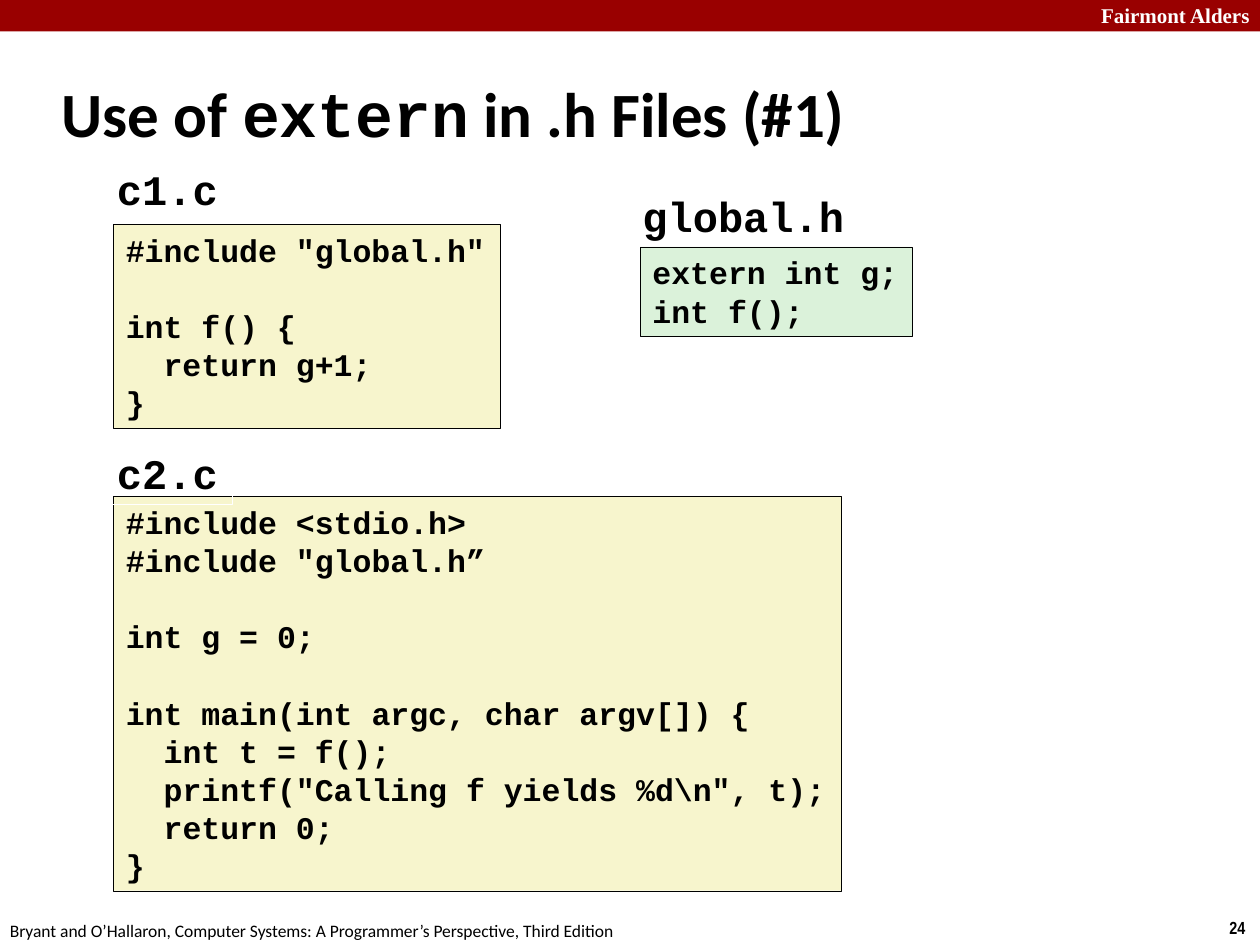
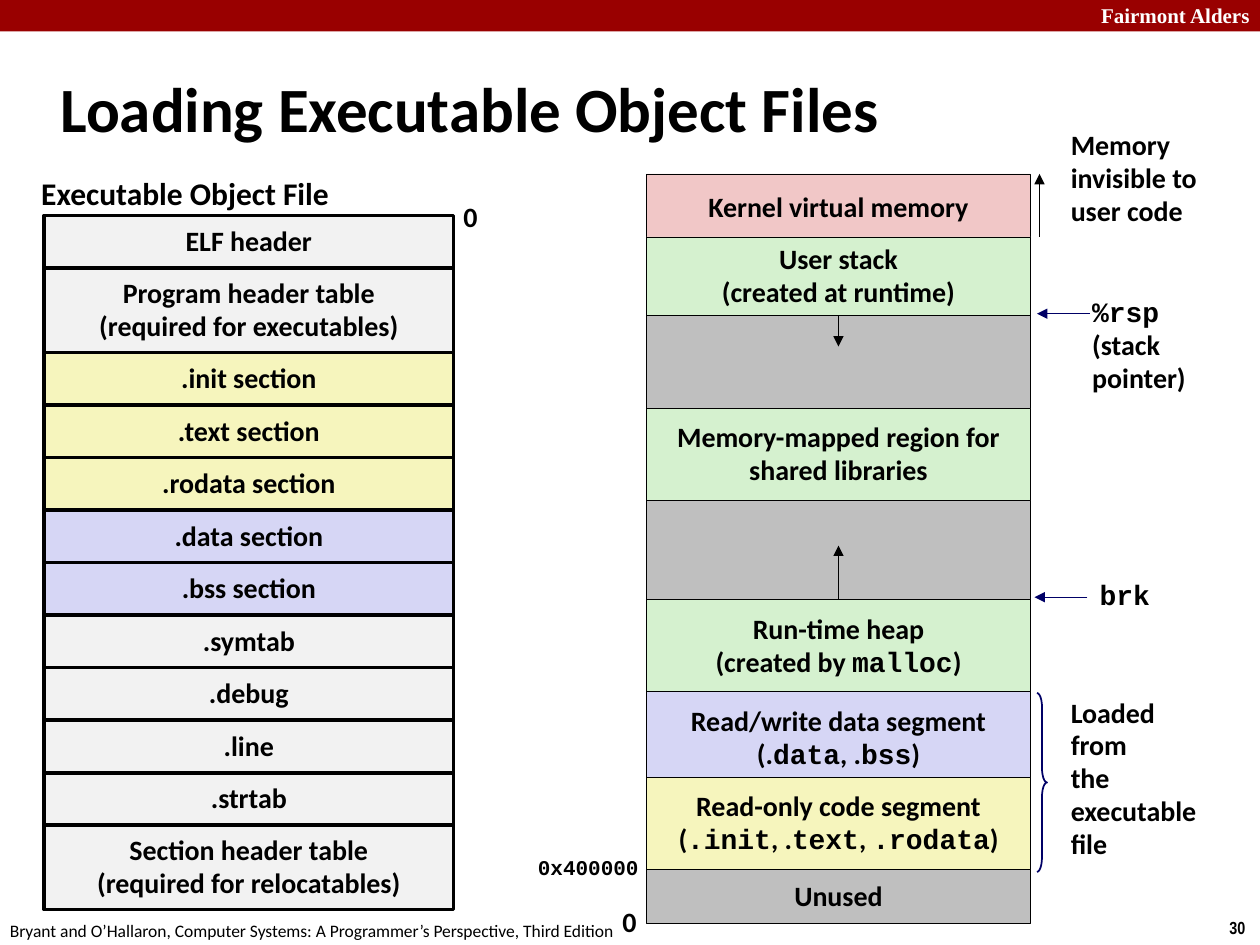
from dataclasses import dataclass

from lxml import etree
from pptx import Presentation
from pptx.dml.color import RGBColor
from pptx.enum.shapes import MSO_CONNECTOR, MSO_SHAPE
from pptx.enum.text import MSO_ANCHOR, PP_ALIGN
from pptx.oxml.ns import qn
from pptx.util import Inches, Pt

RECTANGLE = MSO_SHAPE.RECTANGLE
RIGHT_BRACE = MSO_SHAPE.RIGHT_BRACE
STRAIGHT = MSO_CONNECTOR.STRAIGHT
TOP, MIDDLE = MSO_ANCHOR.TOP, MSO_ANCHOR.MIDDLE
LEFT, CENTER = PP_ALIGN.LEFT, PP_ALIGN.CENTER
SIDE_TOP, SIDE_LEFT, SIDE_BOTTOM = 0, 1, 2


@dataclass(frozen=True)
class Theme:
    # Colours
    black: str = "000000"
    white: str = "FFFFFF"
    band: str = "990000"
    navy: str = "000066"
    source: str = "F7F5CD"
    header: str = "DBF2DA"
    plain: str = "F2F2F2"
    code: str = "F6F5BD"
    data: str = "D6D6F5"
    kernel: str = "F1C7C7"
    runtime: str = "D5F1CF"
    unused: str = "BFBFBF"
    # Fonts
    body: str = "Calibri"
    mono: str = "Courier New"
    brand: str = "Times New Roman"
    number: str = "Arial Narrow"
    # Type sizes and line widths, in points
    title: float = 36
    file_name: float = 24
    heading: float = 18
    label: float = 16
    small: float = 12
    footer: float = 10
    code_pitch: float = 21.8
    thin: float = 0.25
    medium: float = 1
    thick: float = 2


THEME = Theme()
CODE_INDENT = 0.3
BRAND = "Fairmont Alders"
FOOTER = ("Bryant and O’Hallaron, Computer Systems: "
          "A Programmer’s Perspective, Third Edition")

C1_SOURCE = '''#include "global.h"

int f() {
  return g+1;
}'''

GLOBAL_HEADER = '''extern int g;
int f();'''

C2_SOURCE = r'''#include <stdio.h>
#include "global.h”

int g = 0;

int main(int argc, char argv[]) {
  int t = f();
  printf("Calling f yields %d\n", t);
  return 0;
}'''

# Sections of the object file, from the top: text and fill
FILE_SECTIONS = [
    ("ELF header", THEME.plain),
    ("Program header table\n(required for executables)", THEME.plain),
    (".init section", THEME.code),
    (".text section", THEME.code),
    (".rodata section", THEME.code),
    (".data section", THEME.data),
    (".bss section", THEME.data),
    (".symtab", THEME.plain),
    (".debug", THEME.plain),
    (".line", THEME.plain),
    (".strtab", THEME.plain),
    ("Section header table\n(required for relocatables)", THEME.plain),
]

# Memory regions, later ones overlap earlier ones: name, top, height, fill, text
MEMORY_REGIONS = [
    ("kernel", 1.38, 0.53, THEME.kernel, "Kernel virtual memory"),
    ("stack gap", 2.25, 0.99, THEME.unused, ""),
    ("stack", 1.88, 0.62, THEME.runtime, "User stack\n(created at runtime)"),
    ("libraries", 3.24, 0.73, THEME.runtime,
     "Memory-mapped region for\nshared libraries"),
    ("heap gap", 3.97, 0.79, THEME.unused, ""),
    ("heap", 4.76, 0.73, THEME.runtime,
     "Run-time heap\n(created by `malloc`)"),
    ("data", 5.49, 0.73, THEME.data,
     "Read/write data segment\n(.`data`, .`bss`)"),
    ("code", 6.17, 0.73, THEME.code,
     "Read-only code segment\n(`.init`, .`text`, `.rodata`)"),
    ("unused", 6.9, 0.43, THEME.unused, "Unused"),
]


def rgb(color):
    return RGBColor.from_string(color)


def write_text(frame, text, *, size=THEME.label, font=THEME.body,
               color=THEME.black, bold=True, align=LEFT, anchor=TOP,
               spacing=None, wrap=False):
    """Write one paragraph a line; words between backticks are monospaced."""
    frame.word_wrap = wrap
    frame.vertical_anchor = anchor
    for index, line in enumerate(text.split("\n")):
        para = frame.paragraphs[0] if index == 0 else frame.add_paragraph()
        para.alignment = align
        if spacing:
            # Lines that open with code sit slightly tighter
            para.line_spacing = 0.94 if line.startswith("`") else spacing
        for piece_index, piece in enumerate(line.split("`")):
            if not piece:
                continue
            span = para.add_run()
            span.text = piece
            span.font.name = THEME.mono if piece_index % 2 else font
            span.font.size = Pt(size)
            span.font.bold = bold
            span.font.color.rgb = rgb(color)


def add_box(page, at, *, fill=None, line=None, width=THEME.thin,
            kind=RECTANGLE, text="", **text_format):
    box = page.shapes.add_shape(kind, *map(Inches, at))
    box.shadow.inherit = False
    if fill:
        box.fill.solid()
        box.fill.fore_color.rgb = rgb(fill)
    else:
        box.fill.background()
    if line:
        box.line.color.rgb = rgb(line)
        box.line.width = Pt(width)
    else:
        box.line.fill.background()
    if text:
        write_text(box.text_frame, text, **text_format)
    return box


def add_label(page, at, text, **text_format):
    box = page.shapes.add_textbox(*map(Inches, at))
    write_text(box.text_frame, text, **text_format)
    return box


def add_arrow(page, start, end, color=THEME.black, join=None):
    """Draw an arrow; join is the (box, side) where it starts."""
    arrow = page.shapes.add_connector(STRAIGHT, *map(Inches, start + end))
    if join:
        arrow.begin_connect(*join)
    arrow.line.color.rgb = rgb(color)
    arrow.line.width = Pt(THEME.thin)
    outline = arrow.line._get_or_add_ln()
    etree.SubElement(outline, qn("a:tailEnd"), type="triangle")
    etree.SubElement(arrow._element.spPr, qn("a:effectLst"))


def add_code(page, at, source, fill):
    """Blank source lines become paragraph spacing, leading blanks an indent."""
    lines = source.split("\n")
    shown = [line for line in lines if line]
    box = add_box(page, at, fill=fill, line=THEME.black,
                  text="\n".join(line.strip() for line in shown),
                  size=THEME.heading, font=THEME.mono)
    paras = iter(box.text_frame.paragraphs)
    after_blank = False
    for line in lines:
        if line:
            para = next(paras)
            para.line_spacing = Pt(THEME.code_pitch)
            if after_blank:
                para.space_before = Pt(THEME.code_pitch)
            if line.startswith(" "):
                para._p.get_or_add_pPr().set("marL", str(Inches(CODE_INDENT)))
        after_blank = not line


def add_file_name(page, at, name):
    add_box(page, at, line=THEME.white, text=name,
            size=THEME.file_name, font=THEME.mono)


def add_page(deck, title, title_at, number):
    page = deck.slides.add_slide(deck.slide_layouts[5])
    # Band, page number and footer
    add_box(page, (0, 0, 10, 0.25), fill=THEME.band)
    add_label(page, (8.64, -0.03, 1.43, 0.3), BRAND, size=THEME.small,
              font=THEME.brand, color=THEME.white, wrap=True)
    add_label(page, (9.66, 7.23, 0.34, 0.27), number, size=THEME.footer,
              font=THEME.number)
    add_label(page, (-0.02, 7.25, 5.08, 0.27), FOOTER, size=THEME.footer,
              bold=False)
    # Title
    heading = page.shapes.title
    heading.left, heading.top, heading.width, heading.height = map(
        Inches, title_at)
    write_text(heading.text_frame, title, size=THEME.title, anchor=MIDDLE,
               wrap=True)
    return page


def add_object_file(page):
    left, top, width, bottom, double_row = 0.35, 1.71, 3.25, 7.22, 0.67
    doubles = sum("\n" in text for text, _ in FILE_SECTIONS)
    single_row = ((bottom - top - doubles * double_row)
                  / (len(FILE_SECTIONS) - doubles))
    for text, fill in FILE_SECTIONS:
        height = double_row if "\n" in text else single_row
        add_box(page, (left, top, width, height), fill=fill, line=THEME.black,
                width=THEME.thick, text=text, align=CENTER, anchor=MIDDLE,
                spacing=0.98)
        top += height
    add_label(page, (3.58, 1.55, 0.31, 0.37), "0", spacing=0.98)
    add_label(page, (0.22, 1.35, 2.5, 0.4), "Executable Object File",
              size=THEME.heading, align=CENTER, spacing=0.98)


def add_memory(page):
    left, width = 5.13, 3.05
    center = left + width / 2
    regions = {}
    for name, top, height, fill, text in MEMORY_REGIONS:
        regions[name] = add_box(
            page, (left, top, width, height), fill=fill, line=THEME.black,
            text=text, align=CENTER, anchor=MIDDLE, spacing=0.98)

    # Directions of growth
    add_arrow(page, (center, 2.5), (center, 2.75),
              join=(regions["stack"], SIDE_BOTTOM))
    add_arrow(page, (center, 4.76), (center, 4.33),
              join=(regions["heap"], SIDE_TOP))
    add_arrow(page, (8.25, 1.88), (8.25, 1.38))

    # Addresses
    add_label(page, (4.84, 7.14, 0.31, 0.37), "0", spacing=0.98)
    add_label(page, (4.17, 6.75, 1.01, 0.3), "`0x400000`", size=THEME.small,
              spacing=0.98)

    # Pointers
    add_label(page, (8.57, 2.31, 0.95, 0.88), "`%rsp`\n(stack\npointer)",
              spacing=0.98)
    add_arrow(page, (8.65, 2.49), (8.23, 2.49), THEME.navy)
    brk = add_label(page, (8.63, 4.56, 0.6, 0.36), "`brk`", spacing=0.98)
    add_arrow(page, (8.63, 4.74), (8.21, 4.74), THEME.navy,
              join=(brk, SIDE_LEFT))

    # Notes beside the regions
    add_label(page, (8.4, 0.98, 1.44, 0.9), "Memory\ninvisible to user code",
              spacing=0.98, wrap=True)
    brace = add_box(page, (8.23, 5.5, 0.08, 1.42), kind=RIGHT_BRACE,
                    line=THEME.navy, width=THEME.medium)
    brace.adjustments[0] = 1.42
    add_label(page, (8.4, 5.48, 1.26, 1.42),
              "Loaded\nfrom\nthe\nexecutable\nfile", spacing=0.98)


def build_extern_page(deck):
    page = add_page(deck, "Use of `extern` in .h Files (#1)",
                    (0.39, 0.48, 8.3, 0.83), "24")
    add_code(page, (0.9, 1.78, 3.07, 1.62), C1_SOURCE, THEME.source)
    add_file_name(page, (0.83, 1.25, 1.01, 0.5), "c1.c")
    add_file_name(page, (5, 1.46, 1.81, 0.5), "global.h")
    add_code(page, (5.08, 1.96, 2.16, 0.71), GLOBAL_HEADER, THEME.header)
    add_code(page, (0.9, 3.94, 5.78, 3.13), C2_SOURCE, THEME.source)
    add_file_name(page, (0.83, 3.5, 1.01, 0.5), "c2.c")


def build_loading_page(deck):
    page = add_page(deck, "Loading Executable Object Files",
                    (0.38, 0.42, 9.53, 0.86), "30")
    add_object_file(page)
    add_memory(page)


def main():
    deck = Presentation()
    deck.slide_width, deck.slide_height = Inches(10), Inches(7.5)
    build_extern_page(deck)
    build_loading_page(deck)
    deck.save("out.pptx")


if __name__ == "__main__":
    main()
